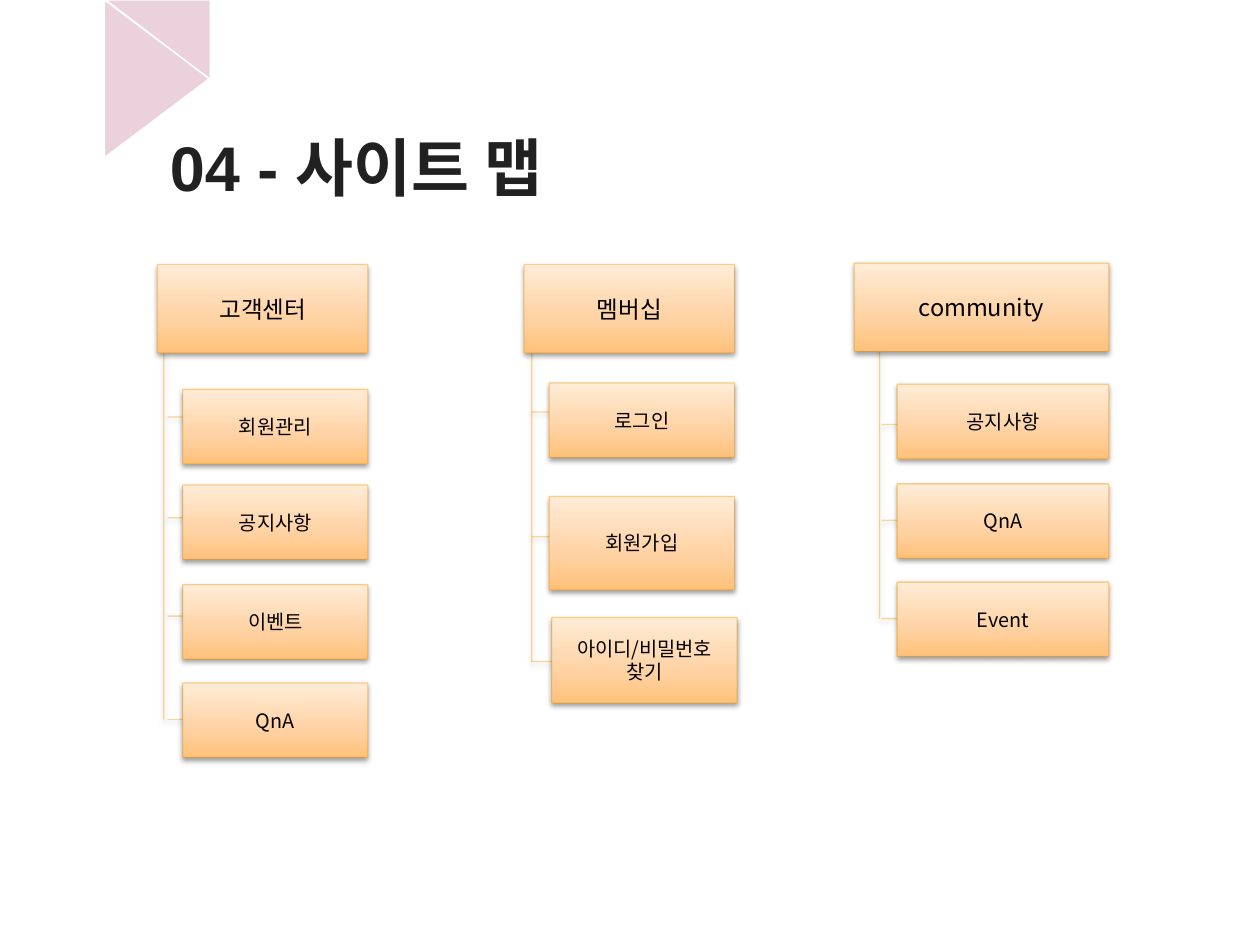
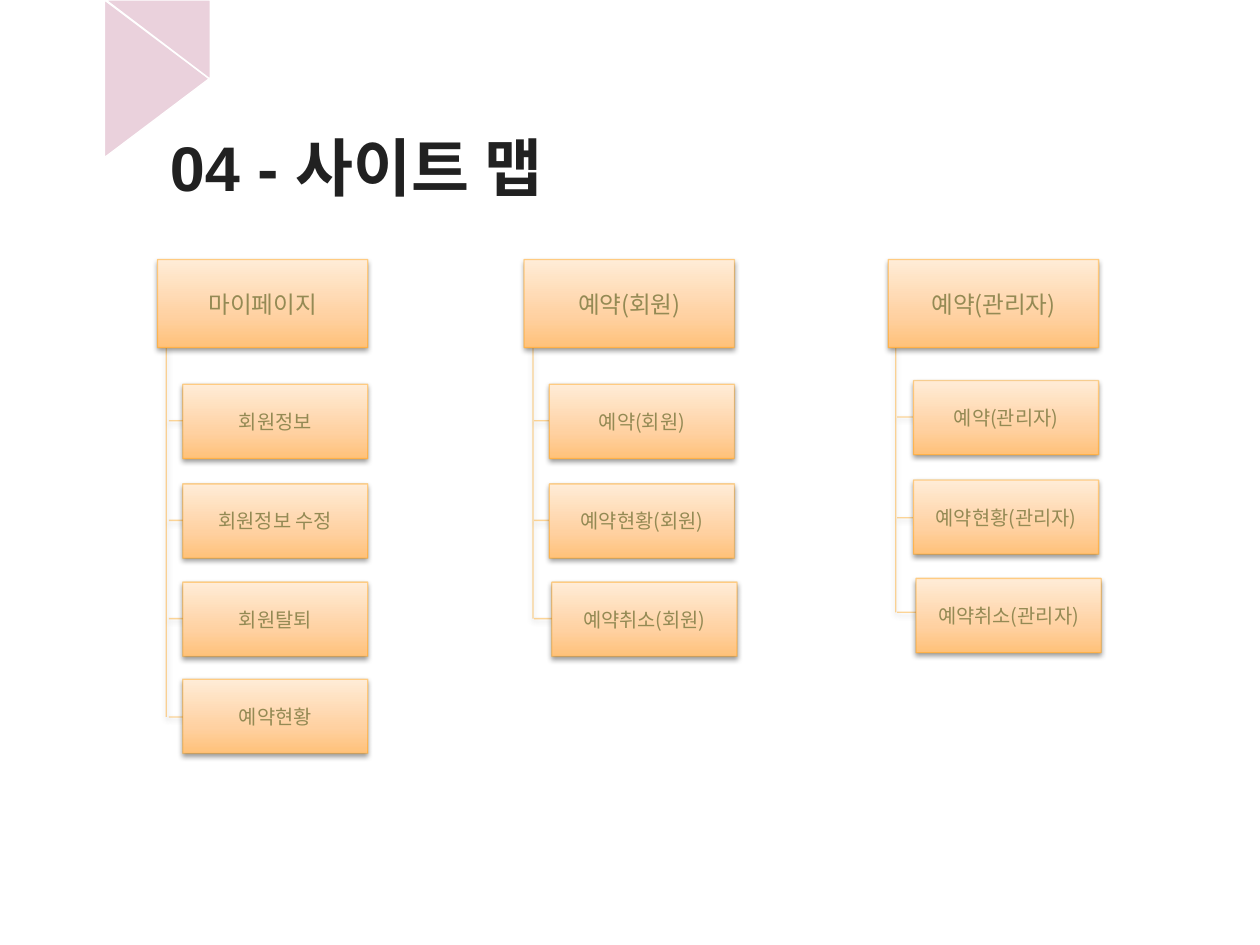
from dataclasses import dataclass

import pptx
import pptx.dml.color
import pptx.enum.shapes
import pptx.enum.text
import pptx.oxml
import pptx.oxml.ns
import pptx.util

Inches = pptx.util.Inches
Pt = pptx.util.Pt
MSO_SHAPE = pptx.enum.shapes.MSO_SHAPE
ANCHOR = pptx.enum.text.MSO_ANCHOR
ALIGN = pptx.enum.text.PP_ALIGN
qn = pptx.oxml.ns.qn
NS = pptx.oxml.ns.nsdecls("a")


@dataclass(frozen=True)
class Theme:
    ribbon: str = "EAD1DC"
    white: str = "FFFFFF"
    title: str = "212121"
    black: str = "000000"
    olive: str = "948A54"
    orange: str = "FF9A00"
    gradient: tuple = ((0, "FFC179"), (35, "FFD1A1"), (100, "FFECD7"))
    line_alpha: int = 40
    line_width: float = 0.75
    title_font: str = "Arial"
    body_font: str = "Noto Sans CJK KR"
    title_size: float = 36
    head_size: float = 13.5
    child_size: float = 11.25


T = Theme()


@dataclass
class Child:
    """A menu entry; top and tick are measured from the top of its column."""
    text: str
    top: float
    tick: float
    height: float = 0.59
    shift: float = 0


@dataclass
class Column:
    """A menu; trunk is measured from its left, gap from the trunk."""
    head: str
    left: float
    top: float
    trunk: float
    gap: float
    children: list
    width: float = 1.67
    indent: float = 0.2


HEAD_HEIGHT = 0.7

SITE_MAPS = [
    (T.black, [
        Column("community", 6.78, 2.09, 0.2, 0.02, [
            Child("공지사항", 0.96, 1.28),
            Child("QnA", 1.75, 2.04),
            Child("Event", 2.53, 2.82),
        ], width=2.02, indent=0.34),
        Column("멤버십", 4.16, 2.1, 0.06, 0, [
            Child("로그인", 0.94, 1.17),
            Child("회원가입", 1.84, 2.16, height=0.74),
            Child("아이디/비밀번호\n찾기", 2.8, 3.15, height=0.68, shift=0.02),
        ]),
        Column("고객센터", 1.25, 2.1, 0.05, 0.03, [
            Child("회원관리", 0.99, 1.21),
            Child("공지사항", 1.75, 2.01),
            Child("이벤트", 2.54, 2.79),
            Child("QnA", 3.32, 3.61),
        ]),
    ]),
    (T.olive, [
        Column("마이페이지", 1.25, 2.06, 0.07, 0.02, [
            Child("회원정보", 0.99, 1.28),
            Child("회원정보 수정", 1.78, 2.07),
            Child("회원탈퇴", 2.56, 2.85),
            Child("예약현황", 3.33, 3.63),
        ]),
        Column("예약(회원)", 4.16, 2.06, 0.07, 0.01, [
            Child("예약(회원)", 0.99, 1.28),
            Child("예약현황(회원)", 1.78, 2.07),
            Child("예약취소(회원)", 2.56, 2.85, shift=0.02),
        ]),
        Column("예약(관리자)", 7.05, 2.06, 0.06, 0.01, [
            Child("예약(관리자)", 0.96, 1.25),
            Child("예약현황(관리자)", 1.75, 2.05),
            Child("예약취소(관리자)", 2.53, 2.8, shift=0.02),
        ]),
    ]),
]


def rgb(value):
    return pptx.dml.color.RGBColor.from_string(value)


def box_of(*lengths):
    return [Inches(v) for v in lengths]


def write(sp, text, font, size, color, bold=False,
          anchor=ANCHOR.MIDDLE, align=ALIGN.CENTER):
    tf = sp.text_frame
    tf.word_wrap = True
    tf.vertical_anchor = anchor
    tf.margin_left = tf.margin_right = Inches(0.1)
    tf.margin_top = tf.margin_bottom = Inches(0.1)
    for i, line in enumerate(text.split("\n")):
        p = tf.add_paragraph() if i else tf.paragraphs[0]
        p.alignment = align
        r = p.add_run()
        r.text = line
        r.font.size = Pt(size)
        r.font.bold = bold
        r.font.color.rgb = rgb(color)
        r.font.name = font
        # East Asian typeface for the Korean letters
        r.font._element.append(pptx.oxml.parse_xml(
            f'<a:ea {NS} typeface="{T.body_font}"/>'))


def style_outline(sp):
    """Translucent orange line with a soft shadow below."""
    sp.line.color.rgb = rgb(T.orange)
    sp.line.width = Pt(T.line_width)
    sppr = sp.element.spPr
    clr = sppr.find(qn("a:ln")).find(".//" + qn("a:srgbClr"))
    clr.append(pptx.oxml.parse_xml(
        f'<a:alpha {NS} val="{T.line_alpha * 1000}"/>'))
    sppr.append(pptx.oxml.parse_xml(
        f'<a:effectLst {NS}><a:outerShdw blurRad="{Pt(3.1)}" dist="{Pt(1.6)}" '
        'dir="5400000" rotWithShape="0"><a:srgbClr val="000000">'
        '<a:alpha val="38000"/></a:srgbClr></a:outerShdw></a:effectLst>'))


def fill_gradient(sp):
    sp.fill.gradient()
    grad = sp.element.spPr.find(qn("a:gradFill"))
    stops = "".join(
        f'<a:gs pos="{pos * 1000}"><a:srgbClr val="{color}"/></a:gs>'
        for pos, color in T.gradient)
    grad.replace(grad.find(qn("a:gsLst")), pptx.oxml.parse_xml(
        f"<a:gsLst {NS}>{stops}</a:gsLst>"))
    sp.fill.gradient_angle = 90


def add_menu_box(shapes, box, text, size, color):
    sp = shapes.add_shape(MSO_SHAPE.RECTANGLE, *box_of(*box))
    fill_gradient(sp)
    style_outline(sp)
    write(sp, text, T.body_font, size, color)


def add_branch(shapes, x1, y1, x2, y2):
    line = shapes.add_connector(pptx.enum.shapes.MSO_CONNECTOR.STRAIGHT,
                                *box_of(x1, y1, x2, y2))
    style_outline(line)


def add_ribbon(slide):
    """Folded ribbon hanging from the top edge."""
    parts = (
        (MSO_SHAPE.ISOSCELES_TRIANGLE, (0.62, 0.21, 1.25, 0.83), 90, False),
        (MSO_SHAPE.RIGHT_TRIANGLE, (0.94, -0.1, 0.63, 0.83), 270, True),
    )
    for kind, box, angle, flipped in parts:
        sp = slide.shapes.add_shape(kind, *box_of(*box))
        sp.shadow.inherit = False
        sp.rotation = angle
        if flipped:
            sp.element.spPr.xfrm.set("flipH", "1")
        sp.fill.solid()
        sp.fill.fore_color.rgb = rgb(T.ribbon)
        sp.line.color.rgb = rgb(T.white)
        sp.line.width = Pt(T.line_width)


def add_title(slide, text):
    sp = slide.shapes.add_textbox(*box_of(1.25, 0.47, 8.33, 1.25))
    write(sp, text, T.title_font, T.title_size, T.title, bold=True,
          anchor=ANCHOR.BOTTOM, align=ALIGN.LEFT)


def add_column(slide, col, color):
    """Heading, trunk line and indented entries, as one group."""
    shapes = slide.shapes.add_group_shape().shapes
    trunk_x = col.left + col.trunk
    entry_x = col.left + col.indent

    # Trunk and branches lie behind the boxes
    add_branch(shapes, trunk_x, col.top + HEAD_HEIGHT,
               trunk_x, col.top + col.children[-1].tick)
    for child in col.children:
        y = col.top + child.tick
        add_branch(shapes, trunk_x + col.gap, y, entry_x + 0.02, y)

    # Heading and entries
    add_menu_box(shapes, (col.left, col.top, col.width, HEAD_HEIGHT),
                 col.head, T.head_size, color)
    for child in col.children:
        add_menu_box(shapes, (entry_x + child.shift, col.top + child.top,
                              col.width - col.indent, child.height),
                     child.text, T.child_size, color)


def add_site_map(prs, color, columns):
    slide = prs.slides.add_slide(prs.slide_layouts[6])
    add_ribbon(slide)
    add_title(slide, "04 - 사이트 맵")
    for col in columns:
        add_column(slide, col, color)


def main():
    prs = pptx.Presentation()
    prs.slide_width, prs.slide_height = Inches(10), Inches(7.5)
    for color, columns in SITE_MAPS:
        add_site_map(prs, color, columns)
    prs.save("out.pptx")


if __name__ == "__main__":
    main()
